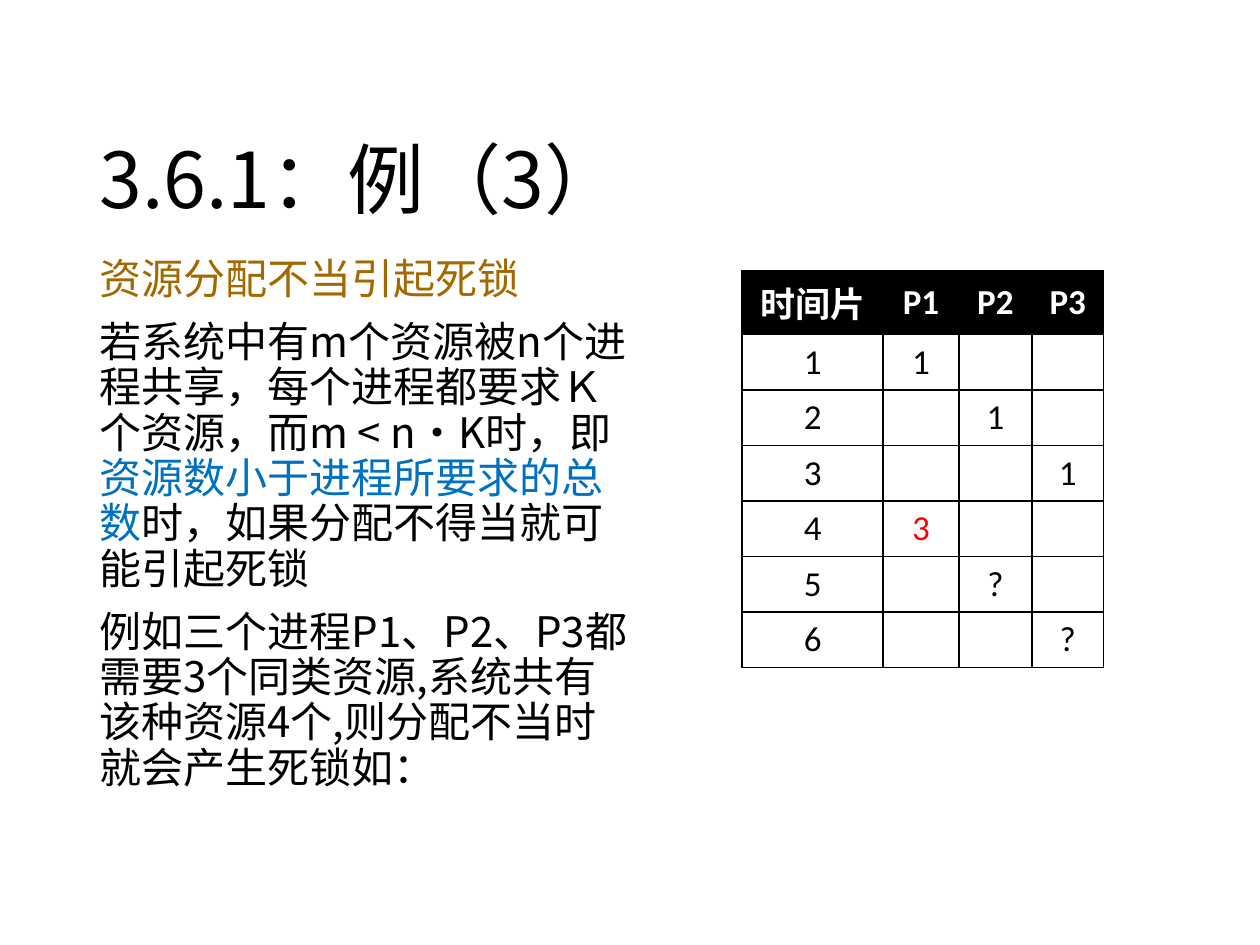
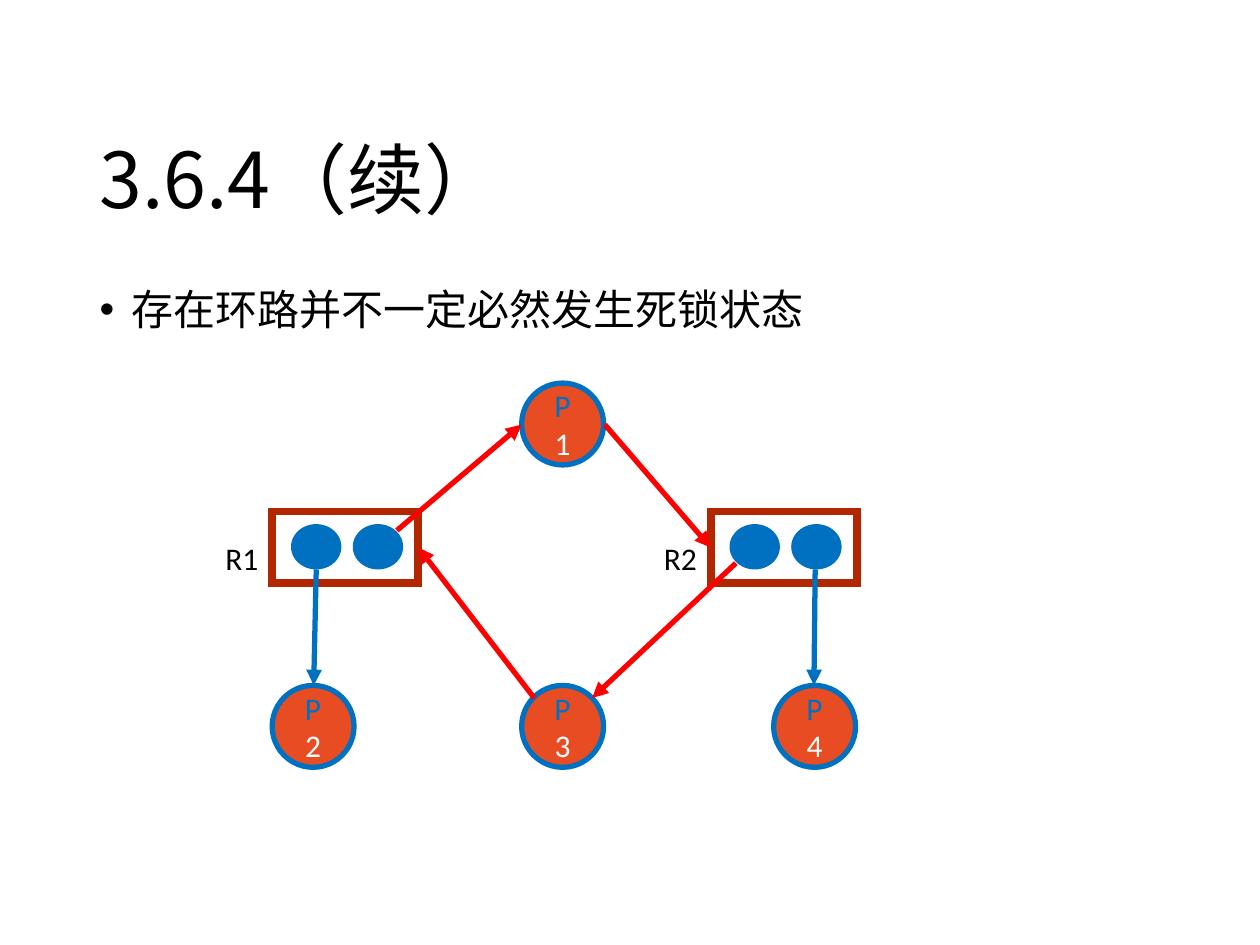
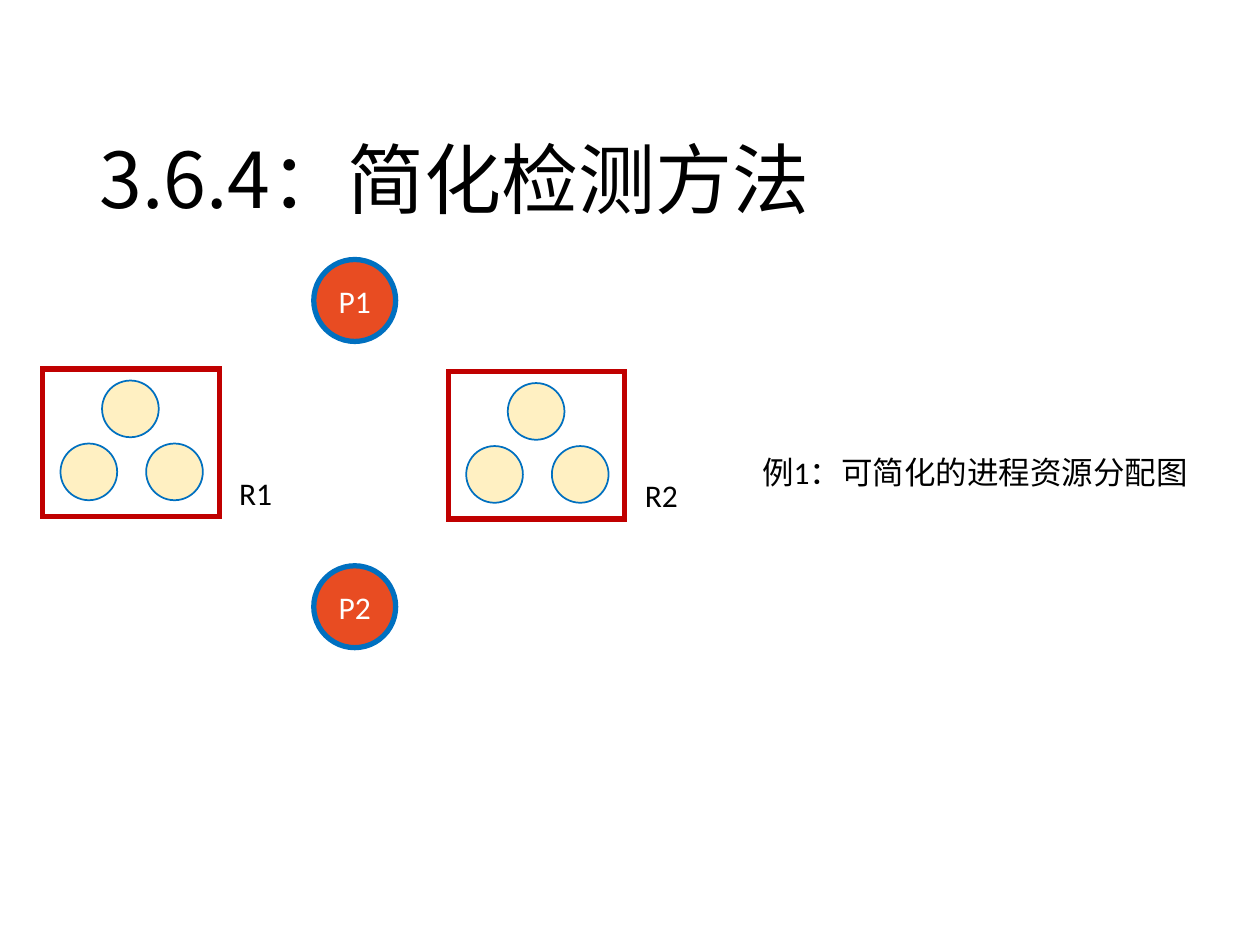
"""Build three slides on deadlock and resource allocation graphs."""
from lxml import etree
from pptx import Presentation
from pptx.dml.color import RGBColor
from pptx.enum import shapes, text
from pptx.oxml import ns
from pptx.util import Inches, Pt

LATIN, HAN = "Calibri", "Noto Sans CJK SC"
BLACK, WHITE, RED, BLUE = "000000", "FFFFFF", "FF0000", "0070C0"
GOLD, ORANGE, BROWN, CRIMSON, CREAM = "A36900", "E84C22", "B22600", "C00000", "FFF0C2"
OVAL, RECT = shapes.MSO_SHAPE.OVAL, shapes.MSO_SHAPE.RECTANGLE
NODE = 0.65
LABEL = (0.47, 0.4)


def write(para, spans, size, font=LATIN, bold=False):
    """Add coloured runs to a paragraph."""
    for words, color in spans:
        span = para.add_run()
        span.text = words
        span.font.size = Pt(size)
        span.font.bold = bold
        span.font.color.rgb = RGBColor.from_string(color)
        span.font.name = font
        if font == HAN:
            etree.SubElement(span.font._element, ns.qn("a:ea"), typeface=HAN)


def draw(page, kind, area, fill=None, line=None, weight=1, spans=()):
    """Add a shape, or a text box when kind is None."""
    area = [Inches(length) for length in area]
    if kind is None:
        box = page.shapes.add_textbox(*area)
    else:
        box = page.shapes.add_shape(kind, *area)
        box.shadow.inherit = False
        box.text_frame.vertical_anchor = text.MSO_ANCHOR.MIDDLE
        box.text_frame.paragraphs[0].alignment = text.PP_ALIGN.CENTER
        if fill:
            box.fill.solid()
            box.fill.fore_color.rgb = RGBColor.from_string(fill)
        else:
            box.fill.background()
        if line:
            box.line.color.rgb = RGBColor.from_string(line)
            box.line.width = Pt(weight)
            etree.SubElement(box.line._get_or_add_ln(), ns.qn("a:miter"), lim="800000")
        else:
            box.line.fill.background()
    write(box.text_frame.paragraphs[0], spans, 18)
    return box


deck = Presentation()
deck.slide_width, deck.slide_height = Inches(10), Inches(7.5)
pages = []
for heading, layout in (("3.6.1：例（3）", 1), ("3.6.4（续）", 1), ("3.6.4：简化检测方法", 5)):
    page = deck.slides.add_slide(deck.slide_layouts[layout])
    title = page.shapes.title
    title.left, title.top, title.width, title.height = map(Inches, (0.69, 0.39, 8.62, 1.45))
    title.text_frame.vertical_anchor = text.MSO_ANCHOR.BOTTOM
    title.text_frame.auto_size = text.MSO_AUTO_SIZE.NONE
    para = title.text_frame.paragraphs[0]
    para.alignment = text.PP_ALIGN.LEFT
    para.line_spacing = 0.9
    write(para, [(heading, BLACK)], 44, HAN)
    pages.append(page)
example, cycle, reduction = pages

bodies = (
    (example, 4.4, 4.76, 0.9, False, (
        [("资源分配不当引起死锁", GOLD)],
        [("若系统中有m个资源被n个进程共享，每个进程都要求Ｋ个资源，而m < n·K时，即", BLACK),
         ("资源数小于进程所要求的总数", BLUE),
         ("时，如果分配不得当就可能引起死锁", BLACK)],
        [("例如三个进程P1、P2、P3都需要3个同类资源,系统共有该种资源4个,则分配不当时就会产生死锁如：", BLACK)],
    )),
    (cycle, 8.62, 2.46, 1.5, True, ([("存在环路并不一定必然发生死锁状态", BLACK)],)),
)
for page, width, height, spacing, bulleted, paragraphs in bodies:
    body = page.placeholders[1]
    body.left, body.top, body.width, body.height = map(Inches, (0.69, 2, width, height))
    frame = body.text_frame
    frame.auto_size = text.MSO_AUTO_SIZE.NONE
    for number, spans in enumerate(paragraphs):
        para = frame.add_paragraph() if number else frame.paragraphs[0]
        para.line_spacing = spacing
        para.space_before = Pt(10 if number else 0)
        marks = para._p.get_or_add_pPr()
        indent = Inches(0.25) if bulleted else 0
        marks.set("marL", str(indent))
        marks.set("indent", str(-indent))
        if bulleted:
            etree.SubElement(marks, ns.qn("a:buFont"), typeface="Arial")
            etree.SubElement(marks, ns.qn("a:buChar"), char="•")
        else:
            etree.SubElement(marks, ns.qn("a:buNone"))
        write(para, spans, 24, HAN)

schedule = (
    ("时间片", "P1", "P2", "P3"),
    ("1", "1", "", ""),
    ("2", "", "1", ""),
    ("3", "", "", "1"),
    ("4", "3", "", ""),
    ("5", "", "?", ""),
    ("6", "", "", "?"),
)
grid = example.shapes.add_table(7, 4, *map(Inches, (5.89, 2.15, 2.87, 3.15))).table
for column, width in zip(grid.columns, (1.12, 0.6, 0.58, 0.57)):
    column.width = Inches(width)
for row, values in enumerate(schedule):
    grid.rows[row].height = Inches(0.44 if row else 0.5)
    for column, value in enumerate(values):
        cell = grid.cell(row, column)
        cell.vertical_anchor = text.MSO_ANCHOR.MIDDLE
        cell.fill.solid()
        cell.fill.fore_color.rgb = RGBColor.from_string(WHITE if row else BLACK)
        edges = cell._tc.get_or_add_tcPr()
        for order, side in enumerate(("lnL", "lnR", "lnT", "lnB")):
            edge = etree.Element(ns.qn(f"a:{side}"), w=str(Pt(1)))
            paint = etree.SubElement(edge, ns.qn("a:solidFill"))
            etree.SubElement(paint, ns.qn("a:srgbClr"), val=BLACK)
            edges.insert(order, edge)
        if value:
            para = cell.text_frame.paragraphs[0]
            para.alignment = text.PP_ALIGN.CENTER
            color = RED if value == "3" and column else BLACK if row else WHITE
            write(para, [(value, color)], 20, bold=row == 0)

resources = []
for name, left in (("R1", 2.16), ("R2", 5.64)):
    resources.append(draw(cycle, RECT, (left, 4.06, 1.16, 0.57), WHITE, BROWN, 4.5))
    label = draw(cycle, None, (left - 0.47, 4.23, *LABEL), spans=[(name, BLACK)])
    label.text_frame.word_wrap = False
    for shift in (0.15, 0.64):
        draw(cycle, OVAL, (left + shift, 4.16, 0.4, 0.36), BLUE)
for number, left, top in (("1", 4.14, 3.04), ("2", 2.16, 5.44), ("3", 4.14, 5.44), ("4", 6.14, 5.44)):
    node = draw(cycle, OVAL, (left, top, NODE, NODE), ORANGE, BLUE, 3, [("P ", BLUE), (number, WHITE)])
    node.text_frame.word_wrap = True

first, second = resources
arrows = (
    (2.51, 4.52, 2.49, 5.44, BLUE, None, 0),
    (6.47, 4.52, 6.46, 5.44, BLUE, None, 0),
    (3.15, 4.21, 4.14, 3.37, RED, None, 0),
    (4.8, 3.37, 5.64, 4.35, RED, second, 1),
    (5.84, 4.47, 4.7, 5.54, RED, None, 0),
    (4.24, 5.54, 3.32, 4.35, RED, first, 3),
)
for *ends, color, target, side in arrows:
    arrow = cycle.shapes.add_connector(shapes.MSO_CONNECTOR.STRAIGHT, *map(Inches, ends))
    if target is not None:
        arrow.end_connect(target, side)
    arrow.line.color.rgb = RGBColor.from_string(color)
    arrow.line.width = Pt(3)
    etree.SubElement(arrow.line._get_or_add_ln(), ns.qn("a:tailEnd"), type="triangle")
    etree.SubElement(arrow._element.spPr, ns.qn("a:effectLst"))

for name, left, top in (("R1", 0.34, 2.93), ("R2", 3.56, 2.95)):
    draw(reduction, RECT, (left, top, 1.4, 1.17), None, CRIMSON, 3)
    for across, down in ((0.47, 0.09), (0.14, 0.59), (0.82, 0.59)):
        draw(reduction, OVAL, (left + across, top + down, 0.45, 0.45), CREAM, BLUE)
    label = draw(reduction, None, (left + 1.46, top + 0.78, *LABEL), spans=[(name, BLACK)])
    label.text_frame.word_wrap = False
for name, top in (("P1", 2.06), ("P2", 4.49)):
    node = draw(reduction, OVAL, (2.49, top, NODE, NODE), ORANGE, BLUE, 3, [(name, WHITE)])
    node.text_frame.margin_left = node.text_frame.margin_right = Inches(0.04)
caption = draw(reduction, None, (5.95, 3.55, 3.61, 0.4), spans=[("例1：可简化的进程资源分配图", BLACK)])
caption.text_frame.word_wrap = True

deck.save("out.pptx")
